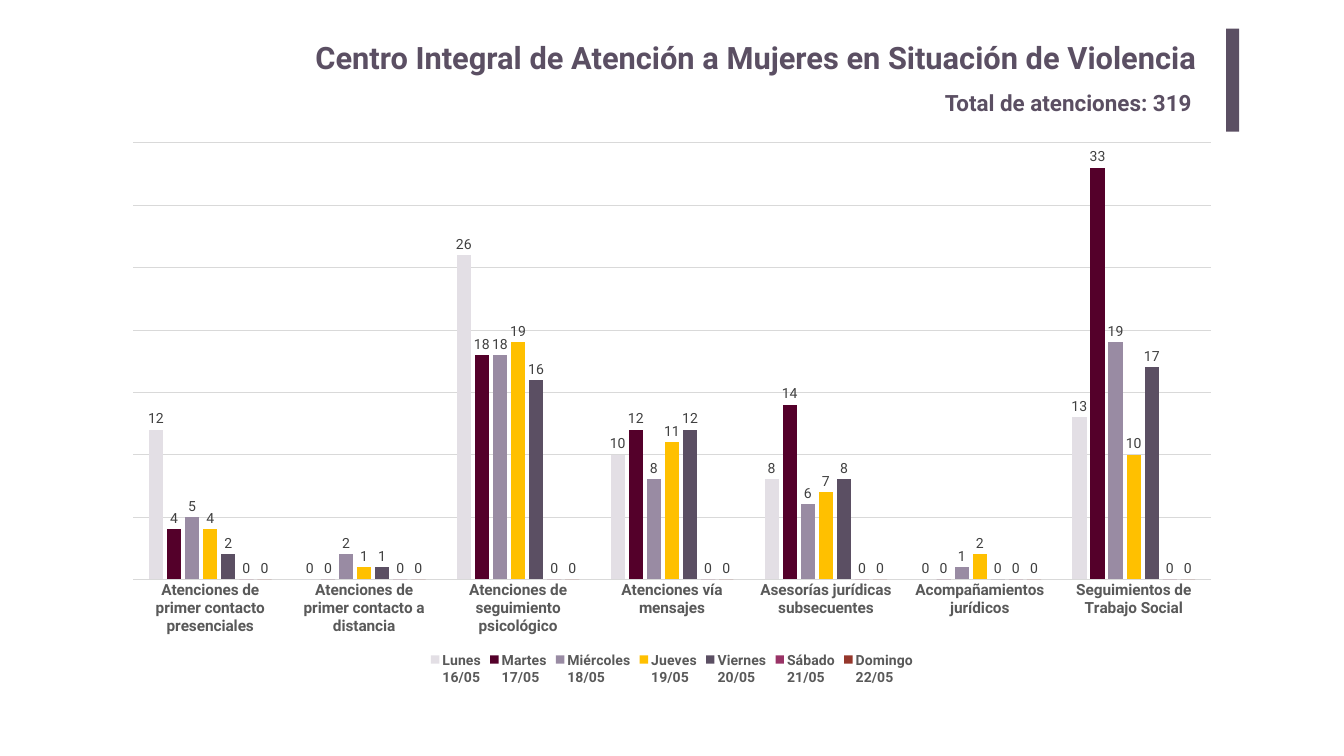
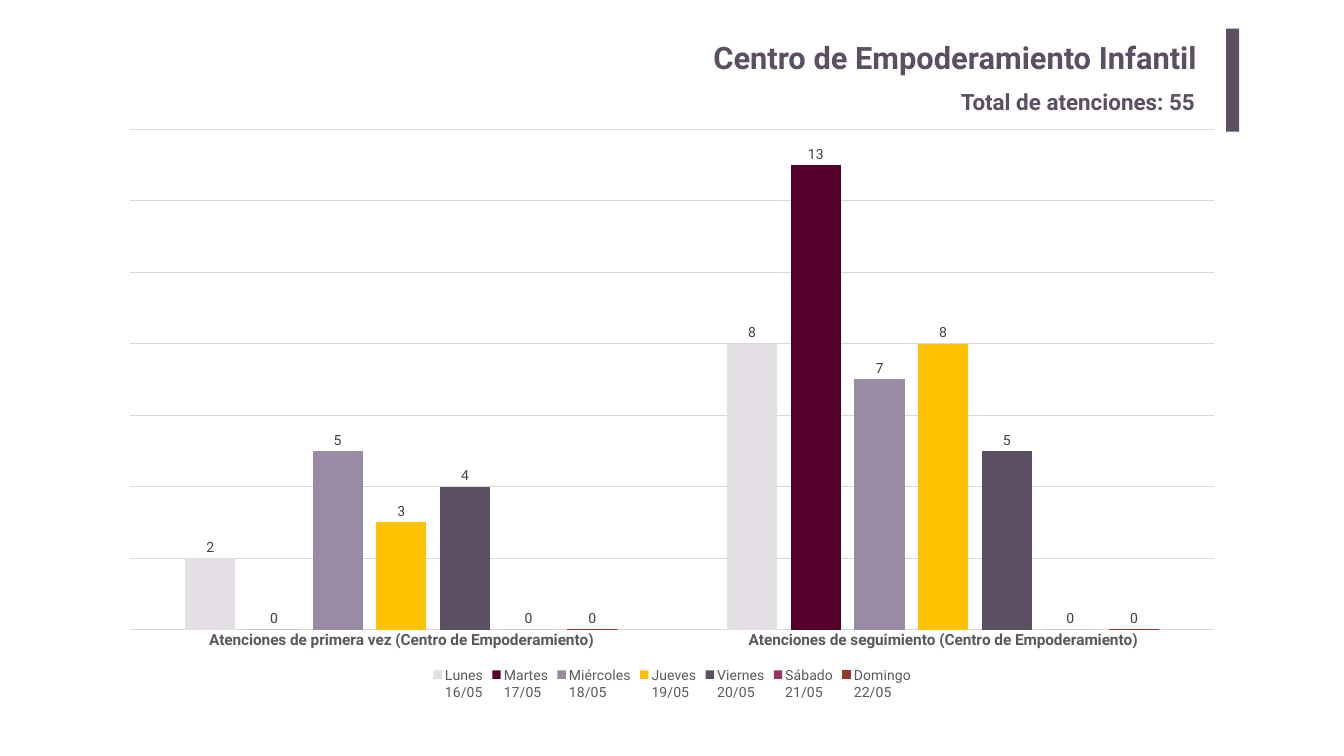
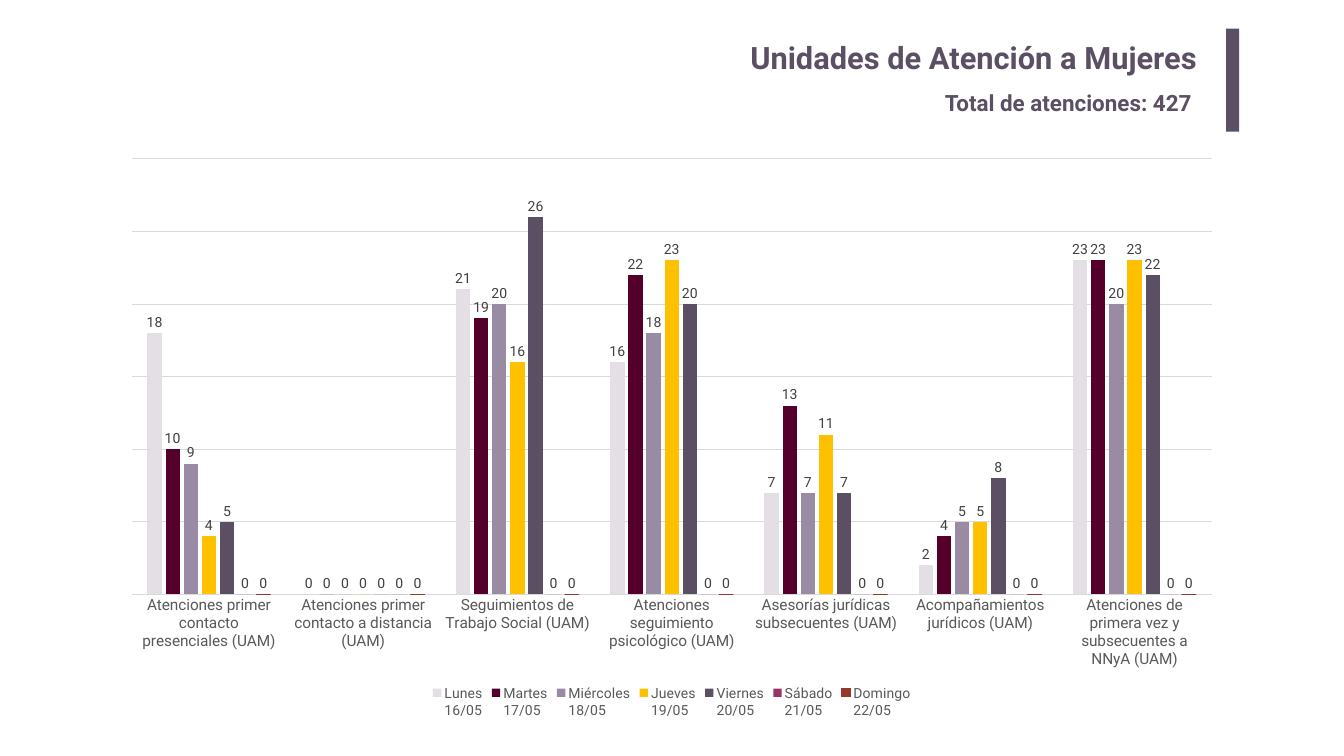
from pptx import Presentation
from pptx.chart.data import CategoryChartData
from pptx.dml.color import RGBColor
from pptx.enum.chart import XL_CHART_TYPE, XL_LABEL_POSITION, XL_LEGEND_POSITION, XL_TICK_MARK
from pptx.enum.shapes import MSO_SHAPE
from pptx.enum.text import MSO_AUTO_SIZE, PP_ALIGN
from pptx.util import Inches, Pt

RECT = MSO_SHAPE.RECTANGLE
LEFT, RIGHT = PP_ALIGN.LEFT, PP_ALIGN.RIGHT
COLUMN = XL_CHART_TYPE.COLUMN_CLUSTERED
BOTTOM = XL_LEGEND_POSITION.BOTTOM
OUTSIDE = XL_LABEL_POSITION.OUTSIDE_END
NO_TICK = XL_TICK_MARK.NONE
FIT = MSO_AUTO_SIZE.SHAPE_TO_FIT_TEXT

# Shared look
FACE = "Roboto"
PLUM, GRAY, DARK, PALE = "5B4F63", "595959", "404040", "D9D9D9"
DAYS = [
    ("Lunes\n16/05", "E3DFE5"), ("Martes\n17/05", "54002A"),
    ("Miércoles\n18/05", "998BA3"), ("Jueves\n19/05", "FFC000"),
    ("Viernes\n20/05", PLUM), ("Sábado\n21/05", "993366"),
    ("Domingo\n22/05", "95372B"),
]

# One entry per slide; each row holds a category and its Monday to Sunday counts
SLIDES = [
    {
        "title": "Centro Integral de Atención a Mujeres en Situación de Violencia",
        "total": 319, "total_box": (18.65, 1.71, 5.31, 0.65),
        "chart_box": (2.2, 2.61, 22.27, 11.06), "top": 35, "step": 5,
        "bold_cats": True, "bold_key": True, "edge": False,
        "rows": [
            ("Atenciones de primer contacto presenciales", (12, 4, 5, 4, 2, 0, 0)),
            ("Atenciones de primer contacto a distancia", (0, 0, 2, 1, 1, 0, 0)),
            ("Atenciones de seguimiento psicológico", (26, 18, 18, 19, 16, 0, 0)),
            ("Atenciones vía mensajes", (10, 12, 8, 11, 12, 0, 0)),
            ("Asesorías jurídicas subsecuentes", (8, 14, 6, 7, 8, 0, 0)),
            ("Acompañamientos jurídicos", (0, 0, 1, 2, 0, 0, 0)),
            ("Seguimientos de Trabajo Social", (13, 33, 19, 10, 17, 0, 0)),
        ],
    },
    {
        "title": "Centro de Empoderamiento Infantil",
        "total": 55, "total_box": (18.97, 1.69, 5.05, 0.64),
        "chart_box": (2.14, 2.33, 22.4, 11.64), "top": 14, "step": 2,
        "bold_cats": True, "bold_key": False, "edge": True,
        "rows": [
            ("Atenciones de primera vez (Centro de Empoderamiento)", (2, 0, 5, 3, 4, 0, 0)),
            ("Atenciones de seguimiento (Centro de Empoderamiento)", (8, 13, 7, 8, 5, 0, 0)),
        ],
    },
    {
        "title": "Unidades de Atención a Mujeres",
        "total": 427, "total_box": (18.65, 1.71, 5.31, 0.65),
        "chart_box": (2.17, 2.92, 22.32, 11.41), "top": 30, "step": 5,
        "bold_cats": False, "bold_key": False, "edge": True,
        "rows": [
            ("Atenciones primer contacto presenciales (UAM)", (18, 10, 9, 4, 5, 0, 0)),
            ("Atenciones primer contacto a distancia (UAM)", (0, 0, 0, 0, 0, 0, 0)),
            ("Seguimientos de Trabajo Social (UAM)", (21, 19, 20, 16, 26, 0, 0)),
            ("Atenciones seguimiento psicológico (UAM)", (16, 22, 18, 23, 20, 0, 0)),
            ("Asesorías jurídicas subsecuentes (UAM)", (7, 13, 7, 11, 7, 0, 0)),
            ("Acompañamientos jurídicos (UAM)", (2, 4, 5, 5, 8, 0, 0)),
            ("Atenciones de primera vez y subsecuentes a NNyA (UAM)",
             (23, 23, 20, 23, 22, 0, 0)),
        ],
    },
]


def color(code):
    return RGBColor.from_string(code)


def style(font, size, code, bold=False):
    for key, value in {"name": FACE, "size": Pt(size), "bold": bold}.items():
        setattr(font, key, value)
    font.color.rgb = color(code)


deck = Presentation()
deck.slide_width, deck.slide_height = Inches(26.67), Inches(15)

for page in SLIDES:
    slide = deck.slides.add_slide(deck.slide_layouts[6])

    # Side bar
    bar = slide.shapes.add_shape(RECT, Inches(24.33), Inches(0.57), Inches(0.26), Inches(2.04))
    bar.shadow.inherit = False
    bar.fill.solid()
    bar.fill.fore_color.rgb = color(PLUM)
    bar.line.fill.background()

    # Title and total
    heads = [
        (page["title"], (3.66, 0.67, 20.3, 1.02), 44, RIGHT, 0.1),
        (f"Total de atenciones: {page['total']}", page["total_box"], 32, LEFT, 0.05),
    ]
    for words, place, size, align, pad in heads:
        frame = slide.shapes.add_textbox(*map(Inches, place)).text_frame
        margins = {"margin_left": 2 * pad, "margin_right": 2 * pad,
                   "margin_top": pad, "margin_bottom": pad}
        for key, value in margins.items():
            setattr(frame, key, Inches(value))
        frame.word_wrap = True
        if align == LEFT:
            frame.auto_size = FIT
        line = frame.paragraphs[0]
        line.alignment = align
        run = line.add_run()
        run.text = words
        style(run.font, size, PLUM, True)

    # Chart data: one series per day
    data = CategoryChartData(number_format="General")
    data.categories = [name for name, _ in page["rows"]]
    for num, (day, _) in enumerate(DAYS):
        data.add_series(day, [counts[num] for _, counts in page["rows"]])
    chart = slide.shapes.add_chart(COLUMN, *map(Inches, page["chart_box"]), data).chart
    style(chart.font, 10, "000000")
    chart.has_title = False

    # Legend
    chart.has_legend = True
    chart.legend.position = BOTTOM
    chart.legend.include_in_layout = False
    style(chart.legend.font, 20, GRAY, page["bold_key"])

    # Axes
    cats, scale = chart.category_axis, chart.value_axis
    cats.major_tick_mark = cats.minor_tick_mark = NO_TICK
    style(cats.tick_labels.font, 22, GRAY, page["bold_cats"])
    for key, value in {"minimum_scale": 0, "maximum_scale": page["top"],
                       "major_unit": page["step"], "visible": False,
                       "has_major_gridlines": True}.items():
        setattr(scale, key, value)
    for rule in (cats.format.line, scale.major_gridlines.format.line):
        rule.color.rgb = color(PALE)
        rule.width = Pt(0.75)

    # Columns and their values
    plot = chart.plots[0]
    for key, value in {"gap_width": 219, "overlap": -27, "vary_by_categories": False}.items():
        setattr(plot, key, value)
    for series, (_, code) in zip(plot.series, DAYS):
        series.format.fill.solid()
        series.format.fill.fore_color.rgb = color(code)
        series.invert_if_negative = False
        labels = series.data_labels
        labels.show_value = True
        labels.position = OUTSIDE
        style(labels.font, 20, DARK)
    if page["edge"]:
        edge = plot.series[len(DAYS) - 1].format.line
        edge.color.rgb = color(DAYS[-1][1])
        edge.width = Pt(0.75)

deck.save("out.pptx")
